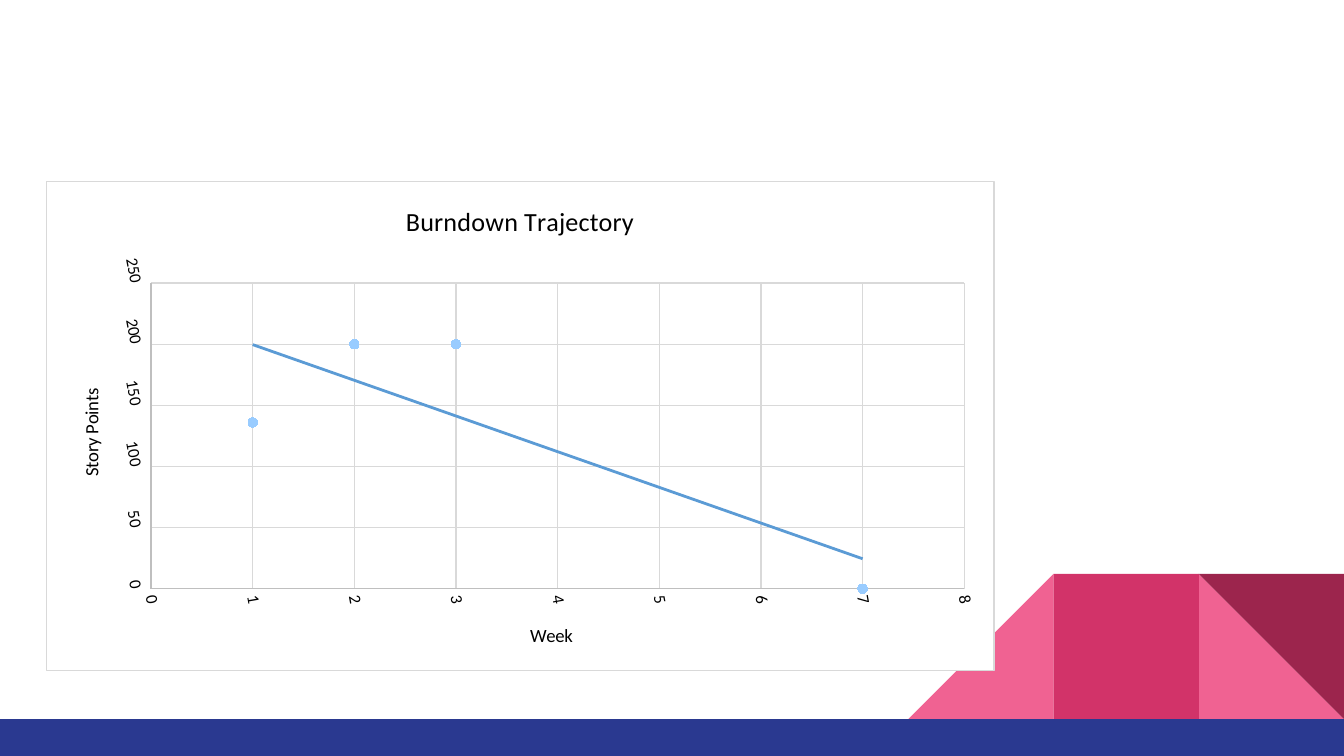
from lxml import etree
from pptx import Presentation, util as u
from pptx.chart import data
from pptx.dml.color import RGBColor
from pptx.enum import chart as ch, shapes
from pptx.oxml import ns, parse_xml

PINK = RGBColor(0xF0, 0x62, 0x92)
ROSE = RGBColor(0xD2, 0x33, 0x69)
WINE = RGBColor(0x9C, 0x25, 0x4D)
NAVY = RGBColor(0x2A, 0x39, 0x90)
BLACK = RGBColor(0, 0, 0)
SKY = RGBColor(0x99, 0xCC, 0xFF)
AXIS_GREY = RGBColor(0xBF, 0xBF, 0xBF)
GRID_GREY = RGBColor(0xD9, 0xD9, 0xD9)
TREND_BLUE = RGBColor(0x5B, 0x9B, 0xD5)
WHITE = RGBColor(0xFF, 0xFF, 0xFF)
NAMESPACES = ns.nsdecls("c", "a")


def add_title(owner, text, size=10, rotation=0):
    """Give a chart or an axis its title."""
    frame = (owner.chart_title if hasattr(owner, "chart_title") else owner.axis_title).text_frame
    frame.text = text
    font = frame.paragraphs[0].runs[0].font
    font.name, font.size, font.bold = "Calibri", u.Pt(size), False
    font.color.rgb = BLACK
    frame._txBody.bodyPr.set("rot", str(rotation * 60000))


def line_xml(color, width):
    return (f'<a:ln w="{u.Pt(width)}"><a:solidFill><a:srgbClr val="{color}"/>'
            '</a:solidFill></a:ln>')


prs = Presentation()
prs.slide_width, prs.slide_height = u.Inches(10), u.Inches(5.625)
W, H = prs.slide_width, prs.slide_height
slide = prs.slides.add_slide(prs.slide_layouts[6])

# Corner tiles on a square grid, counted from the right edge, and the footer band
tile = u.Inches(1.08)
floor = u.Inches(5.35)
TRIANGLE, BOX = shapes.MSO_SHAPE.RIGHT_TRIANGLE, shapes.MSO_SHAPE.RECTANGLE
decor = [
    (TRIANGLE, W - tile, floor - tile, tile, tile, PINK, False, 0),
    (TRIANGLE, W - 3 * tile, floor - tile, tile, tile, PINK, True, 0),
    (BOX, W - 2 * tile, floor - tile, tile, tile, ROSE, False, 0),
    (TRIANGLE, W - tile, floor - tile, tile, tile, WINE, False, 180),
    (BOX, 0, floor, W, H - floor, NAVY, False, 0),
]
for kind, left, top, width, height, color, flipped, turn in decor:
    piece = slide.shapes.add_shape(kind, left, top, width, height)
    piece.shadow.inherit = False
    piece.fill.solid()
    piece.fill.fore_color.rgb = color
    piece.line.fill.background()
    piece.rotation = turn
    if flipped:
        piece._element.spPr.xfrm.set("flipH", "1")

# Burndown chart; weeks 4 to 6 have no value yet
chart_width, chart_height = 7.06, 3.65
points = data.XyChartData()
burndown = points.add_series("Series 1")
for week, story_points in enumerate([136, 200, 200, None, None, None, 0], start=1):
    burndown.add_data_point(week, story_points)
chart = slide.shapes.add_chart(
    ch.XL_CHART_TYPE.XY_SCATTER, u.Inches(0.34), u.Inches(1.345),
    u.Inches(chart_width), u.Inches(chart_height), points).chart
chart.has_legend = False
chart.font.name, chart.font.size = "Arial", u.Pt(10)
chart.font.color.rgb = BLACK
add_title(chart, "Burndown Trajectory", size=14)
chart.plots[0].vary_by_categories = False

# Markers
series = chart.plots[0].series[0]
for gap in series._element.xpath('c:yVal//c:pt[c:v="None"]'):
    gap.getparent().remove(gap)
series.format.line.fill.background()
series.marker.style, series.marker.size = ch.XL_MARKER_STYLE.CIRCLE, 5
series.marker.format.fill.solid()
series.marker.format.fill.fore_color.rgb = SKY
series.marker.format.line.color.rgb = SKY

# Axes
for axis, label, rotation, top, step in [
        (chart.category_axis, "Week", 0, 8, 1),
        (chart.value_axis, "Story Points", -90, 250, 50)]:
    add_title(axis, label, rotation=rotation)
    axis.minimum_scale, axis.maximum_scale, axis.major_unit = 0, top, step
    axis.major_tick_mark = axis.minor_tick_mark = ch.XL_TICK_MARK.NONE
    axis.has_major_gridlines = True
    for line, color in [(axis.format.line, AXIS_GREY),
                        (axis.major_gridlines.format.line, GRID_GREY)]:
        line.color.rgb, line.width = color, u.Pt(0.75)
    labels = axis.tick_labels
    labels.number_format, labels.number_format_is_linked = "General", False
    labels.font.name, labels.font.size = "Calibri", u.Pt(9)
    labels.font.color.rgb = BLACK
    # Tick labels stand almost upright
    axis._element.xpath("c:txPr/a:bodyPr")[0].set("rot", str(80 * 60000))

# Linear trend line
series._element.find(ns.qn("c:xVal")).addprevious(parse_xml(
    f'<c:trendline {NAMESPACES}><c:spPr>{line_xml(TREND_BLUE, 1.5)}</c:spPr>'
    '<c:trendlineType val="linear"/><c:dispRSqr val="0"/><c:dispEq val="0"/></c:trendline>'))

# Chart frame
chart._chartSpace.find(ns.qn("c:chart")).addnext(parse_xml(
    f'<c:spPr {NAMESPACES}><a:solidFill><a:srgbClr val="{WHITE}"/></a:solidFill>'
    f'{line_xml(GRID_GREY, 0.75)}</c:spPr>'))

# Places of the plot area and the axis titles, in inches within the chart
plot_area = chart._chartSpace.find(".//" + ns.qn("c:plotArea"))
for part, position, places in [
        (plot_area, 0, {"x": 0.78, "y": 0.76, "w": 6.06, "h": 2.28}),
        (chart.category_axis.axis_title._element, 1, {"x": 3.58, "y": 3.27}),
        (chart.value_axis.axis_title._element, 1, {"x": 0.22, "y": 1.52})]:
    for old in part.findall(ns.qn("c:layout")):
        part.remove(old)
    layout = etree.Element(ns.qn("c:layout"))
    manual = etree.SubElement(layout, ns.qn("c:manualLayout"))
    settings = {"layoutTarget": "inner"} if part is plot_area else {}
    settings.update(xMode="edge", yMode="edge")
    for side, inches in places.items():
        settings[side] = inches / (chart_width if side in "xw" else chart_height)
    for tag, value in settings.items():
        etree.SubElement(manual, ns.qn("c:" + tag)).set("val", str(value))
    part.insert(position, layout)

prs.save("out.pptx")
